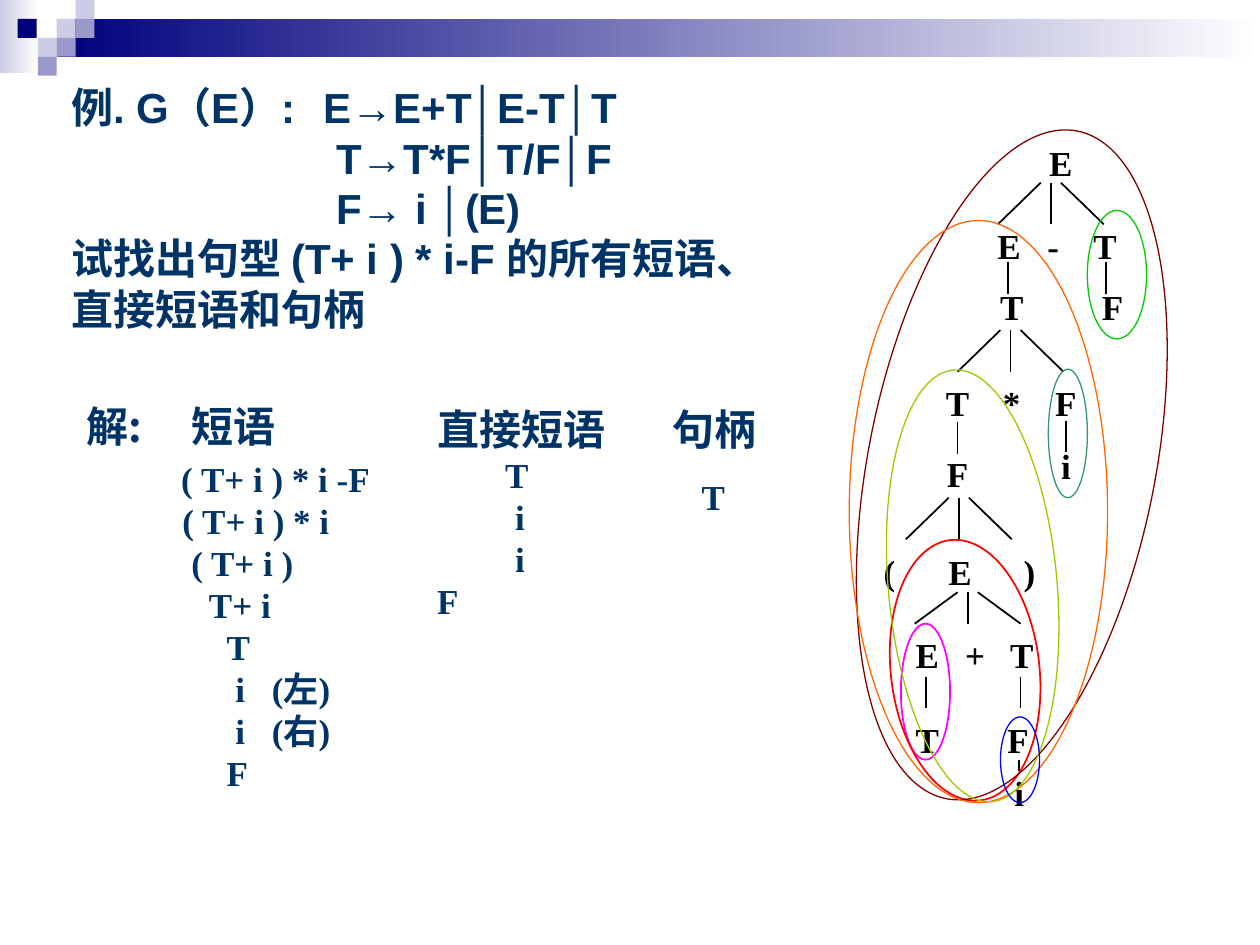
from dataclasses import dataclass

from lxml.etree import SubElement
from pptx import Presentation
from pptx.dml.color import RGBColor
from pptx.enum.shapes import MSO_CONNECTOR, MSO_SHAPE
from pptx.enum.text import PP_ALIGN
from pptx.oxml.ns import qn
from pptx.util import Inches, Pt

COLORS = {
    "navy": "00007D", "lavender": "CCCCE6", "violet": "9999CC", "white": "FFFFFF",
    "ink": "003366", "black": "000000", "magenta": "FF00FF", "red": "FF0000",
    "maroon": "800000", "orange": "FF6600", "lime": "99CC00", "blue": "0000FF",
    "teal": "339966", "green": "00CC00",
}
SERIF = "Times New Roman"
CHINESE = "Noto Sans CJK SC"
NODE_WIDTH = 0.4


@dataclass
class Line:
    text: str
    indent: float = 0
    size: float = 20
    font: str = SERIF
    spacing: float = 24
    before: float = 0
    alignment: PP_ALIGN = PP_ALIGN.LEFT
    color: str = "ink"


@dataclass
class TreeRow:
    top: float
    nodes: dict[str, float]


@dataclass
class Fan:
    center: float
    top: float
    bottom: float


@dataclass
class Stem:
    x: float
    top: float
    bottom: float


@dataclass
class Oval:
    left: float
    top: float
    width: float
    height: float
    color: str
    rotation: float = 0
    weight: float = 0.75


@dataclass
class Tile:
    left: float
    top: float
    color: str


def rgb(name: str) -> RGBColor:
    return RGBColor.from_string(COLORS[name])


def add_bar(slide, left: float, top: float, width: float, height: float,
            color: str, fade: bool = False) -> None:
    shape = slide.shapes.add_shape(MSO_SHAPE.RECTANGLE, Inches(left), Inches(top),
                                   Inches(width), Inches(height))
    shape.shadow.inherit = False
    shape.line.fill.background()
    if fade:
        shape.fill.gradient()
        shape.fill.gradient_angle = 0
        for stop, name in zip(shape.fill.gradient_stops, (color, "white")):
            stop.color.rgb = rgb(name)
    else:
        shape.fill.solid()
        shape.fill.fore_color.rgb = rgb(color)


def add_text(slide, left: float, top: float, width: float, height: float,
             lines: list[Line]) -> None:
    shape = slide.shapes.add_textbox(Inches(left), Inches(top), Inches(width), Inches(height))
    text_frame = shape.text_frame
    text_frame.word_wrap = True
    text_frame.text = "\n".join(line.text for line in lines)
    for paragraph, line in zip(text_frame.paragraphs, lines):
        paragraph.alignment = line.alignment
        paragraph.line_spacing = Pt(line.spacing)
        if line.before:
            paragraph.space_before = Pt(line.before)
        properties = paragraph._p.get_or_add_pPr()
        properties.set("marL", str(Inches(line.indent)))
        properties.set("indent", "0")
        for run in paragraph.runs:
            run.font.size = Pt(line.size)
            run.font.bold = True
            run.font.name = line.font
            run.font.color.rgb = rgb(line.color)
            SubElement(run._r.get_or_add_rPr(), qn("a:ea"), typeface=CHINESE)


def add_tree_row(slide, row: TreeRow) -> None:
    for text, center in row.nodes.items():
        label = Line(text, alignment=PP_ALIGN.CENTER, color="black")
        add_text(slide, center - NODE_WIDTH / 2, row.top, NODE_WIDTH, 0.43, [label])


def add_line(slide, x1: float, y1: float, x2: float, y2: float) -> None:
    connector = slide.shapes.add_connector(MSO_CONNECTOR.STRAIGHT, Inches(x1), Inches(y1),
                                           Inches(x2), Inches(y2))
    connector.line.color.rgb = rgb("black")
    connector.line.width = Pt(1)
    SubElement(connector._element.spPr, qn("a:effectLst"))


def add_fan(slide, fan: Fan) -> None:
    for side in (-1, 0, 1):
        add_line(slide, fan.center + side * 0.08, fan.top, fan.center + side * 0.42, fan.bottom)


def add_oval(slide, oval: Oval) -> None:
    shape = slide.shapes.add_shape(MSO_SHAPE.OVAL, Inches(oval.left), Inches(oval.top),
                                   Inches(oval.width), Inches(oval.height))
    shape.shadow.inherit = False
    shape.fill.background()
    shape.line.color.rgb = rgb(oval.color)
    shape.line.width = Pt(oval.weight)
    shape.rotation = oval.rotation


def grammar(text: str, indent: float = 0) -> Line:
    return Line(text, indent, size=24, font="Arial", spacing=28.8)


def heading(text: str, indent: float = 0, font: str = "Comic Neue") -> Line:
    return Line(text, indent, size=24, font=font, spacing=29.5)


TILES = [
    Tile(0.45, 0.15, "lavender"), Tile(0.6, 0, "lavender"), Tile(0.6, 0.15, "violet"),
    Tile(0.3, 0.3, "lavender"), Tile(0.14, 0.15, "navy"), Tile(0.45, 0.3, "violet"),
    Tile(0.3, 0.45, "violet"),
]
QUESTION = [
    grammar("例. G（E）:\tE→E+T│E-T│T"),
    grammar("T→T*F│T/F│F", 2.1),
    grammar("F→ i │(E)", 2.1),
    grammar("试找出句型 (T+ i ) * i-F 的所有短语、"),
    grammar("直接短语和句柄"),
]
PHRASES = [
    heading("短语", 0.83, CHINESE),
    Line("( T+ i ) * i -F", 0.75, spacing=27.5),
    Line("( T+ i ) * i", 0.76),
    Line("( T+ i )", 0.83),
    Line("T+ i", 0.97),
    Line("T", 1.11),
    Line("i", 1.18),
    Line("i", 1.18),
    Line("F", 1.11),
]
SIDES = [Line("(左)"), Line("(右)")]
DIRECT_PHRASES = [heading("直接短语", 0.02), Line("T", 0.56, spacing=23.9),
                  Line("i", 0.64), Line("i", 0.64), Line("F", 0.02)]
HANDLE = [heading("句柄", 0.16), Line("T", 0.39, before=12.5)]
TREE_ROWS = [
    TreeRow(1.07, {"E": 8.42}),
    TreeRow(1.73, {"E": 8.01, "-": 8.36, "T": 8.77}),
    TreeRow(2.22, {"T": 8.03, "F": 8.83}),
    TreeRow(2.98, {"T": 7.6, "*": 8.03, "F": 8.46}),
    TreeRow(3.54, {"F": 7.6}),
    TreeRow(3.48, {"i": 8.46}),
    TreeRow(4.32, {"(": 7.06, "E": 7.62, ")": 8.17}),
    TreeRow(4.98, {"E": 7.36, "+": 7.74, "T": 8.11}),
    TreeRow(5.65, {"T": 7.36, "F": 8.08}),
    TreeRow(6.07, {"i": 8.09}),
]
FANS = [Fan(8.34, 1.45, 1.78), Fan(8.02, 2.62, 2.95), Fan(7.61, 3.95, 4.28), Fan(7.68, 4.7, 4.95)]
STEMS = [
    Stem(8, 2.08, 2.33), Stem(8.78, 2.08, 2.33), Stem(7.6, 3.35, 3.6), Stem(8.46, 3.34, 3.59),
    Stem(7.35, 5.37, 5.62), Stem(8.1, 5.37, 5.62), Stem(8.09, 6.03, 6.12),
]
OVALS = [
    Oval(7.15, 4.95, 0.39, 1.08, "magenta", weight=1),
    Oval(7.07, 4.28, 1.18, 2.08, "red", 353.5, 1),
    Oval(6.89, 0.99, 2.28, 5.4, "maroon", 11.1),
    Oval(6.74, 1.75, 2.05, 4.62, "orange"),
    Oval(7.05, 2.93, 1.34, 3.44, "lime", 354.9),
    Oval(7.94, 5.69, 0.31, 0.68, "blue"),
    Oval(8.32, 2.93, 0.31, 1.02, "teal"),
    Oval(8.63, 1.67, 0.47, 1.02, "green"),
]


def main() -> None:
    presentation = Presentation()
    presentation.slide_width, presentation.slide_height = Inches(10), Inches(7.5)
    slide = presentation.slides.add_slide(presentation.slide_layouts[6])
    add_bar(slide, 0, 0, 0.31, 0.58, "lavender", fade=True)
    add_bar(slide, 0.45, 0.15, 9.55, 0.3, "navy", fade=True)
    for tile in TILES:
        add_bar(slide, tile.left, tile.top, 0.15, 0.15, tile.color)
    add_text(slide, 0.47, 0.6, 6.9, 2.1, QUESTION)
    for fan in FANS:
        add_fan(slide, fan)
    for stem in STEMS:
        add_line(slide, stem.x, stem.top, stem.x, stem.bottom)
    for row in TREE_ROWS:
        add_tree_row(slide, row)
    add_text(slide, 0.59, 3.12, 0.8, 0.5, [heading("解:", font=CHINESE)])
    add_text(slide, 0.59, 3.12, 3.07, 3.64, PHRASES)
    add_text(slide, 2.06, 5.25, 0.9, 0.77, SIDES)
    for oval in OVALS:
        add_oval(slide, oval)
    add_text(slide, 3.35, 3.14, 1.58, 4.36, DIRECT_PHRASES)
    add_text(slide, 5.08, 3.14, 1.18, 1.01, HANDLE)
    presentation.save("out.pptx")


if __name__ == "__main__":
    main()
